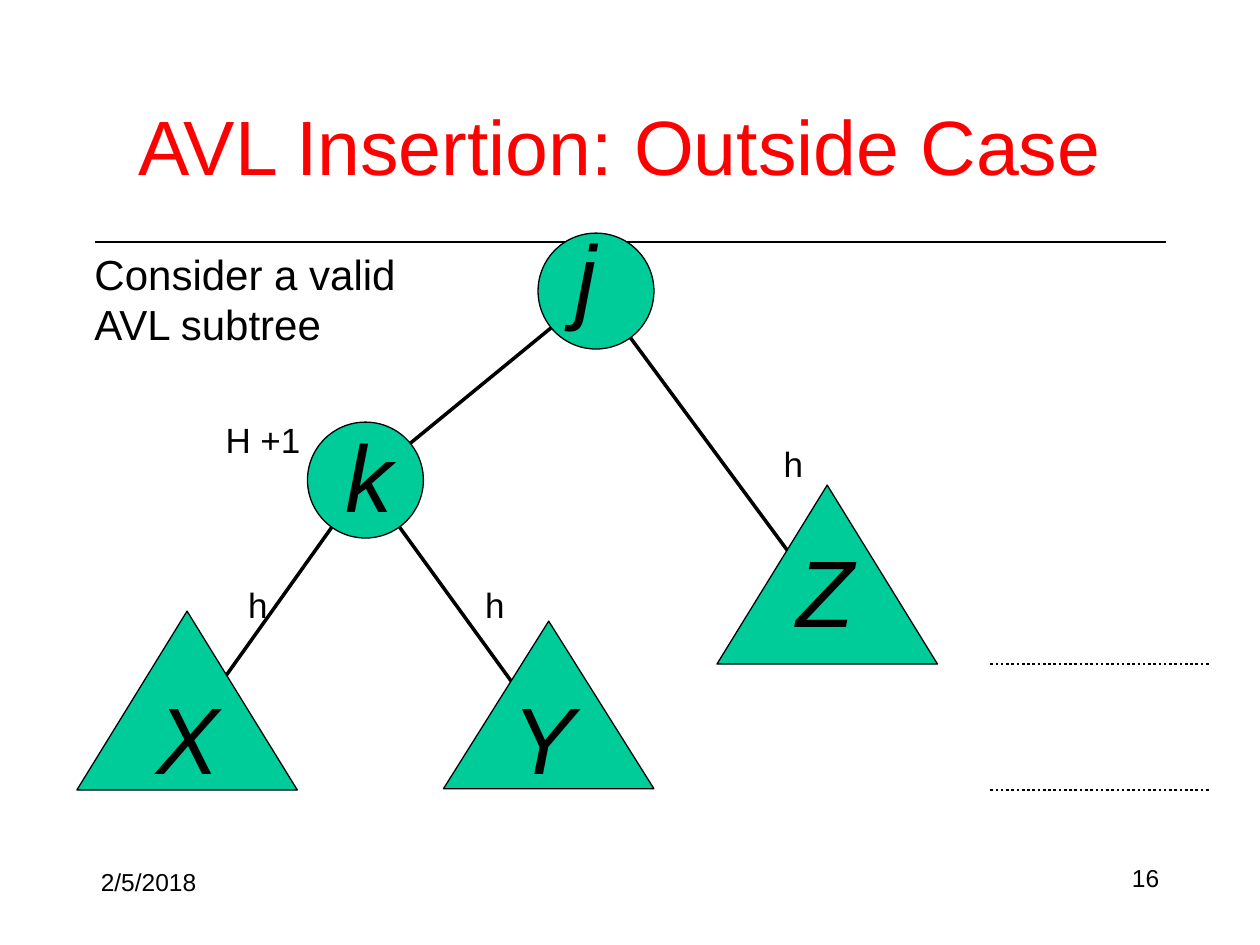
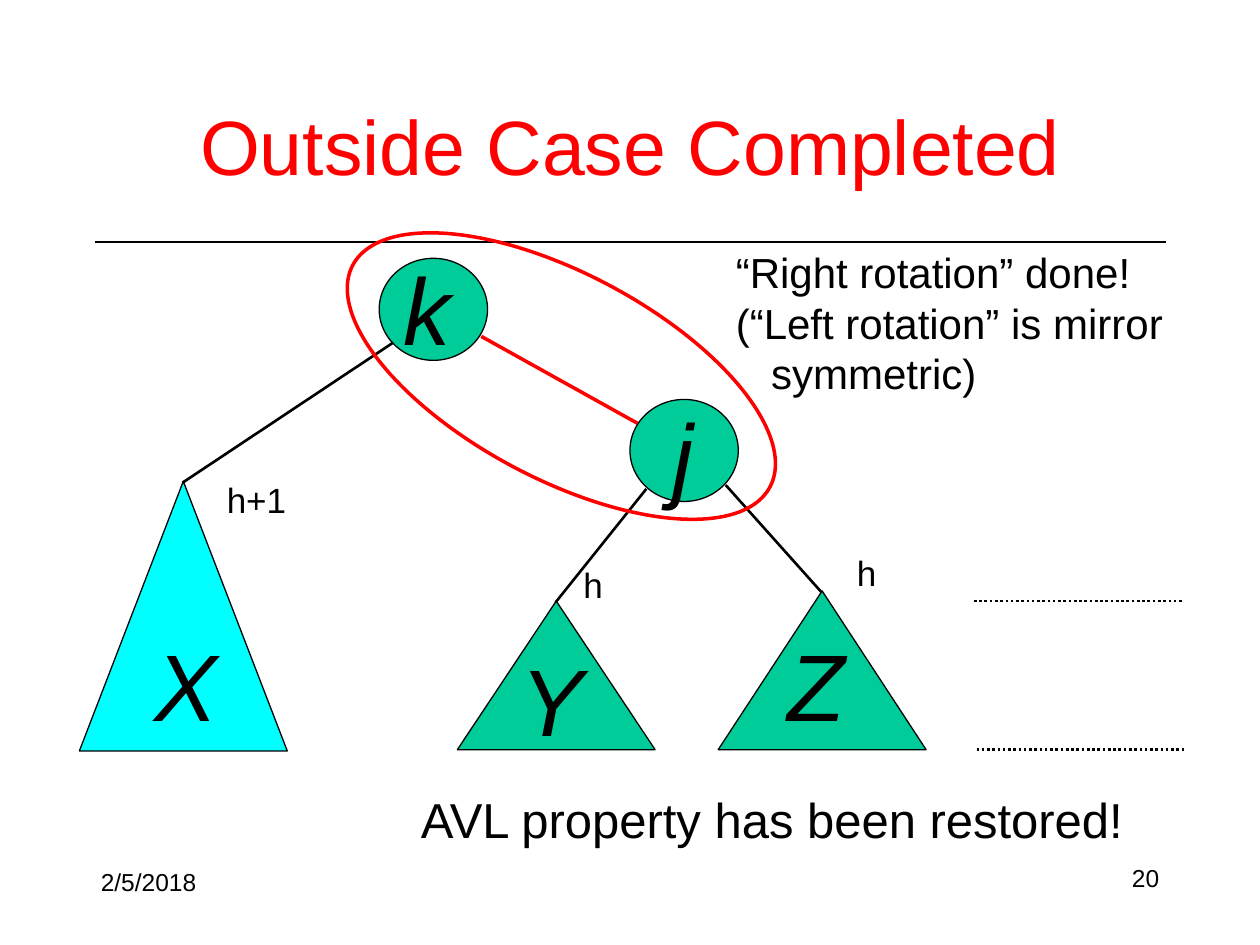
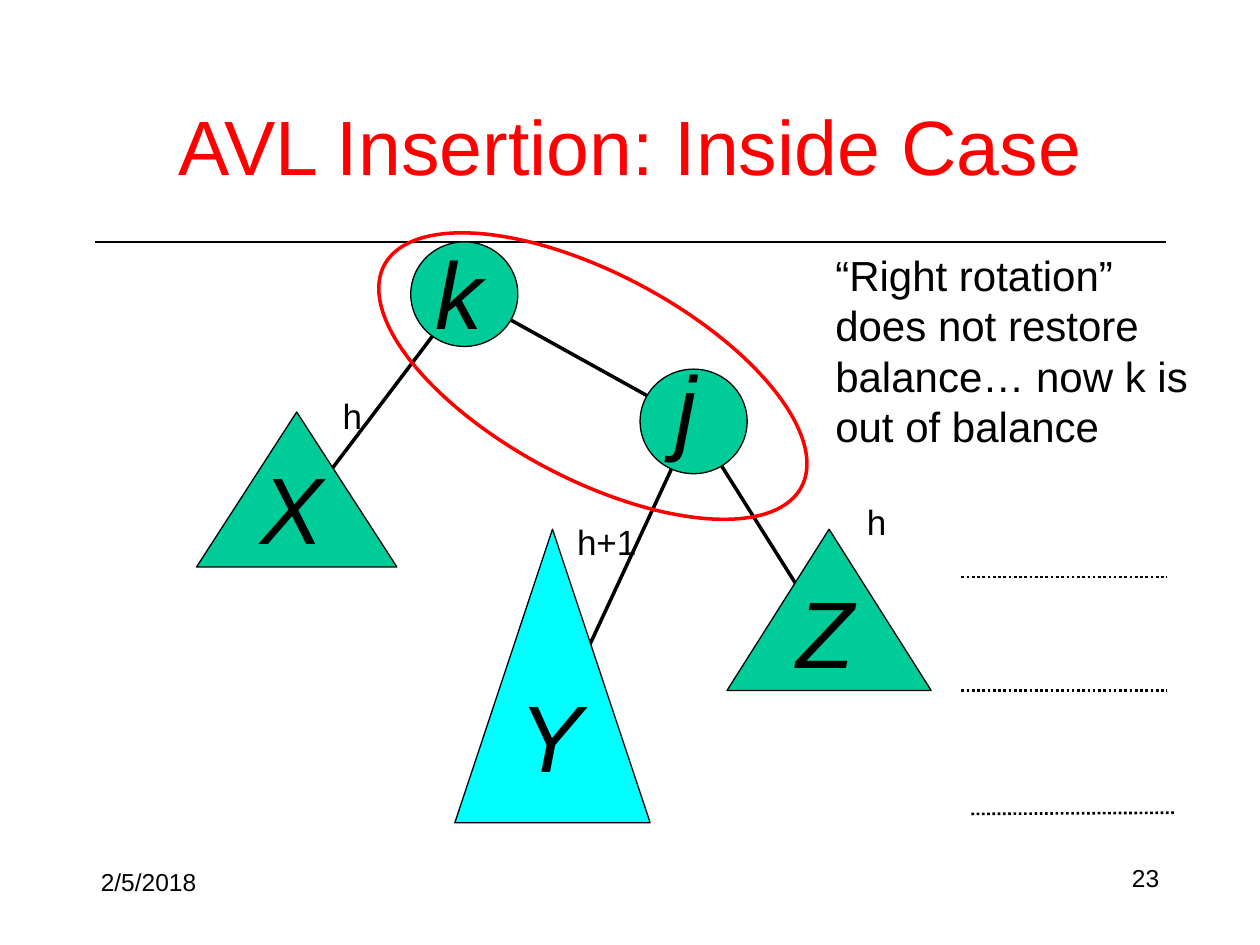
from dataclasses import dataclass

from lxml import etree
from pptx import Presentation
from pptx.dml.color import RGBColor
from pptx.enum.dml import MSO_LINE
from pptx.enum.shapes import MSO_CONNECTOR, MSO_SHAPE
from pptx.enum.text import MSO_ANCHOR, MSO_AUTO_SIZE, PP_ALIGN
from pptx.oxml.ns import qn
from pptx.util import Inches, Pt

BLACK = RGBColor(0x00, 0x00, 0x00)
RED = RGBColor(0xFF, 0x00, 0x00)
GREEN = RGBColor(0x00, 0xCC, 0x99)
CYAN = RGBColor(0x00, 0xFF, 0xFF)
FONT = "Arial"
DATE = "2/5/2018"


@dataclass
class Node:
    """A tree node or subtree: its box, the corner of its letter, and its fill."""
    left: float
    top: float
    width: float
    height: float
    label_at: tuple
    kind: MSO_SHAPE = MSO_SHAPE.OVAL
    fill: RGBColor = GREEN

    @property
    def anchor(self):
        """Return the point where edges end: the centroid of the outline."""
        share = 1 / 2 if self.kind == MSO_SHAPE.OVAL else 2 / 3
        return self.left + self.width / 2, self.top + self.height * share


def subtree(left, top, width, height, label_at, fill=GREEN):
    """Return a triangular node."""
    return Node(left, top, width, height, label_at, MSO_SHAPE.ISOSCELES_TRIANGLE, fill)


def add_text(s, box, lines, size, color=BLACK, align=PP_ALIGN.LEFT,
             anchor=MSO_ANCHOR.TOP, wrap=True, italic=False):
    """Add a text box with one paragraph per line and return its paragraphs."""
    tf = s.shapes.add_textbox(*map(Inches, box)).text_frame
    tf.margin_left = tf.margin_right = tf.margin_top = tf.margin_bottom = Inches(0.05)
    tf.word_wrap = wrap
    tf.auto_size = MSO_AUTO_SIZE.SHAPE_TO_FIT_TEXT
    tf.vertical_anchor = anchor
    tf.text = "\n".join(lines)
    for p in tf.paragraphs:
        p.alignment = align
        p.font.name = FONT
        p.font.size = Pt(size)
        p.font.italic = italic
        p.font.color.rgb = color
    return tf.paragraphs


def add_line(s, start, end, width=2, color=BLACK, dash=None):
    """Add a straight line between two points."""
    line = s.shapes.add_connector(MSO_CONNECTOR.STRAIGHT, *map(Inches, (*start, *end)))
    line.line.width = Pt(width)
    line.line.color.rgb = color
    if dash:
        line.line.dash_style = dash
    etree.SubElement(line._element.spPr, qn("a:effectLst"))


def add_level(s, left, top, width, rise=0):
    """Add a dotted line that marks a depth in the tree."""
    add_line(s, (left, top), (left + width, top - rise), 1.5, dash=MSO_LINE.ROUND_DOT)


def add_outline(s, kind, box, width, color, fill=None):
    """Add an outlined preset shape, filled if a fill is given."""
    sp = s.shapes.add_shape(kind, *map(Inches, box))
    sp.shadow.inherit = False
    sp.line.width = Pt(width)
    sp.line.color.rgb = color
    if fill is None:
        sp.fill.background()
    else:
        sp.fill.solid()
        sp.fill.fore_color.rgb = fill
    return sp


def add_nodes(s, nodes):
    """Draw every node with its letter."""
    for name, node in nodes.items():
        box = node.left, node.top, node.width, node.height
        add_outline(s, node.kind, box, 0.75, BLACK, node.fill)
        add_text(s, (*node.label_at, 0.54, 0.94), [name], 54, italic=True)


def add_edges(s, nodes, edges):
    """Join parents to children, each edge given as a pair of letters."""
    for parent, child in edges:
        add_line(s, nodes[parent].anchor, nodes[child].anchor)


def add_heights(s, heights):
    """Add the subtree heights, each as text, left and top."""
    for text, left, top in heights:
        add_text(s, (left, top, 0.07 + 0.2 * len(text), 0.41), [text], 20, wrap=False)


def add_rotation_ring(s, left):
    """Add the tilted red ring around the rotated nodes."""
    add_outline(s, MSO_SHAPE.OVAL, (left, 2.17, 3.75, 1.63), 2, RED).rotation = 28


def add_slide(prs, title, number):
    """Add a slide with title, rule, date and number."""
    s = prs.slides.add_slide(prs.slide_layouts[6])
    add_line(s, (0.75, 1.92), (9.25, 1.92), 0.75)
    add_text(s, (0.73, 0.76, 8.55, 0.77), [title], 44, RED, PP_ALIGN.CENTER, MSO_ANCHOR.MIDDLE)
    add_text(s, (0.75, 6.83, 2.08, 0.34), [DATE], 14)
    add_text(s, (7.17, 6.83, 2.08, 0.32), [str(number)], 14, align=PP_ALIGN.RIGHT)[0].line_spacing = 0.9
    return s


def outside_case(prs):
    """Build the valid tree before the insertion."""
    s = add_slide(prs, "AVL Insertion: Outside Case ", 16)
    nodes = {
        "j": Node(4.27, 1.85, 0.92, 0.92, (4.52, 1.68)),
        "k": Node(2.44, 3.35, 0.92, 0.92, (2.69, 3.27)),
        "X": subtree(0.61, 4.85, 1.75, 1.42, (1.19, 5.35)),
        "Y": subtree(3.52, 4.93, 1.67, 1.33, (4.02, 5.35)),
        "Z": subtree(5.69, 3.85, 1.75, 1.42, (6.27, 4.18)),
    }
    add_edges(s, nodes, ["kX", "jk", "kY", "jZ"])
    add_nodes(s, nodes)
    for top in (5.27, 6.27):
        add_level(s, 7.86, top, 1.75)
    add_text(s, (0.7, 1.92, 2.6, 0.87), ["Consider a valid", "AVL subtree"], 24, wrap=False)
    add_heights(s, [("h", 6.17, 3.46), ("h", 1.92, 4.58), ("h", 3.8, 4.58)])
    add_text(s, (1.74, 3.27, 0.7, 0.44), ["H +1"], 20, wrap=False)


def outside_completed(prs):
    """Build the balanced tree after the right rotation."""
    s = add_slide(prs, "Outside Case Completed", 20)
    add_nodes(s, {
        "j": Node(5, 3.17, 0.86, 0.81, (5.29, 3.1)),
        "k": Node(3.01, 2.05, 0.86, 0.81, (3.15, 1.94)),
        "X": subtree(0.63, 3.82, 1.65, 2.14, (1.18, 4.93), CYAN),
        "Y": subtree(3.63, 4.77, 1.57, 1.18, (4.08, 5.05)),
        "Z": subtree(5.7, 4.69, 1.65, 1.26, (6.2, 4.93)),
    })
    add_level(s, 7.73, 4.77, 1.65)
    add_level(s, 7.75, 5.95, 1.65)
    remark = ["“Right rotation” done!", "(“Left rotation” is mirror", "symmetric)"]
    p = add_text(s, (5.79, 1.91, 3.6, 1.26), remark, 24, wrap=False)[-1]
    p._p.get_or_add_pPr().set("marL", str(Inches(0.28)))
    for start, end in [((1.45, 3.83), (3.12, 2.72)),
                       ((5.13, 3.88), (4.41, 4.78)),
                       ((5.76, 3.85), (6.52, 4.7))]:
        add_line(s, start, end, 1.5)
    add_text(s, (3.29, 6.22, 5.69, 0.53), ["AVL property has been restored!"], 28, wrap=False)
    add_line(s, (3.82, 2.67), (5.06, 3.36), color=RED)
    add_rotation_ring(s, 2.58)
    add_heights(s, [("h", 6.75, 4.33), ("h+1", 1.75, 3.75), ("h", 4.58, 4.42)])


def inside_case(prs):
    """Build the tree that a single rotation leaves unbalanced."""
    s = add_slide(prs, "AVL Insertion: Inside Case", 23)
    nodes = {
        "j": Node(5.08, 2.93, 0.85, 0.83, (5.31, 2.72)),
        "k": Node(3.26, 1.92, 0.85, 0.83, (3.41, 1.82)),
        "X": subtree(1.56, 3.27, 1.59, 1.23, (2.02, 3.52)),
        "Y": subtree(3.61, 4.2, 1.55, 2.33, (4.07, 5.33), CYAN),
        "Z": subtree(5.77, 4.2, 1.62, 1.28, (6.27, 4.51)),
    }
    add_edges(s, nodes, ["jY", "kX", "jZ", "kj"])
    add_nodes(s, nodes)
    for top in (5.48, 4.58):
        add_level(s, 7.63, top, 1.63)
    add_level(s, 7.71, 6.46, 1.62, rise=0.01)
    remark = ["“Right rotation”", "does not restore", "balance… now k is", "out of balance"]
    add_text(s, (6.58, 1.93, 3, 1.64), remark, 24, wrap=False)
    add_rotation_ring(s, 2.83)
    add_heights(s, [("h", 6.83, 3.92), ("h+1", 4.53, 4.08), ("h", 2.67, 3.08)])


def main():
    """Build the three slides and save them."""
    prs = Presentation()
    prs.slide_width, prs.slide_height = Inches(10), Inches(7.5)
    outside_case(prs)
    outside_completed(prs)
    inside_case(prs)
    prs.save("out.pptx")


if __name__ == "__main__":
    main()
